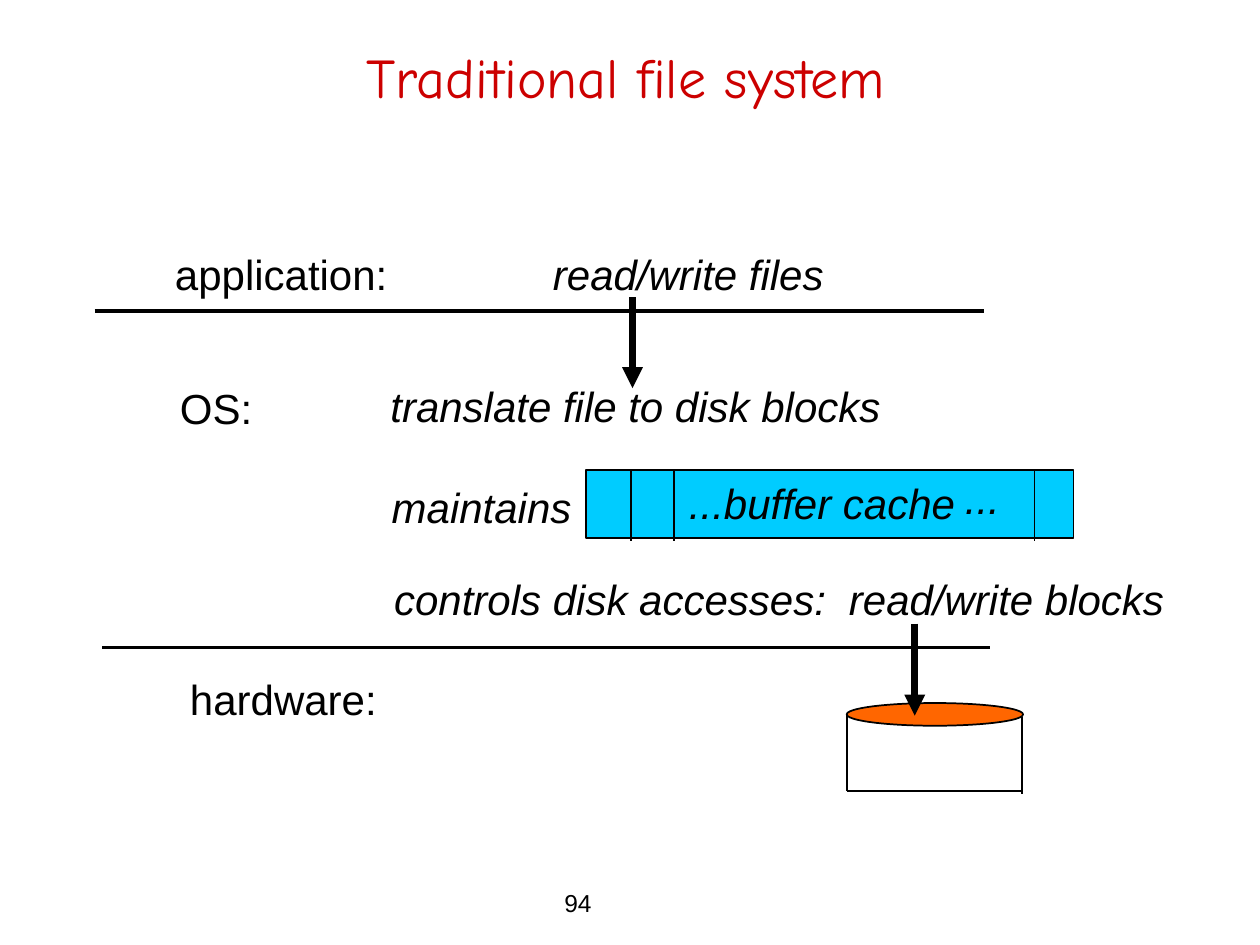
import pptx
import pptx.util
import pptx.dml.color
import pptx.enum.shapes
import pptx.enum.text
import pptx.oxml.ns
import lxml.etree

SCALE = 9144
BLACK = "000000"
SHAPES = pptx.enum.shapes.MSO_SHAPE
ALIGN = pptx.enum.text.PP_ALIGN
ANCHOR = pptx.enum.text.MSO_ANCHOR
FIT = pptx.enum.text.MSO_AUTO_SIZE


def px(n):
    return pptx.util.Emu(n * SCALE)


def paint(code):
    return pptx.dml.color.RGBColor.from_string(code)


def add_tag(parent, name, **keys):
    tag = lxml.etree.SubElement(parent, pptx.oxml.ns.qn(name))
    for key, value in keys.items():
        tag.set(key, str(value))
    return tag


def write(para, text, size=24, font="Arial", color=BLACK, slant=False):
    run = para.add_run()
    run.text = text
    run.font.size = pptx.util.Pt(size)
    run.font.name = font
    run.font.color.rgb = paint(color)
    run.font.italic = slant


class Board:
    def __init__(self, deck):
        self.slide = deck.slides.add_slide(deck.slide_layouts[5])
        self.shapes = self.slide.shapes

    def title(self, text, x, y, w, h):
        box = self.shapes.title
        box.left, box.top, box.width, box.height = map(px, (x, y, w, h))
        frame = box.text_frame
        frame.vertical_anchor = ANCHOR.BOTTOM
        frame.auto_size = FIT.NONE
        para = frame.paragraphs[0]
        para.alignment = ALIGN.CENTER
        write(para, text, size=32, font="Comic Neue", color="CC0000")

    def label(self, text, x, y, w, h=50, tab=None, **style):
        frame = self.shapes.add_textbox(*map(px, (x, y, w, h))).text_frame
        frame.word_wrap = False
        frame.auto_size = FIT.SHAPE_TO_FIT_TEXT
        para = frame.paragraphs[0]
        if tab:
            stops = add_tag(para._p.get_or_add_pPr(), "a:tabLst")
            add_tag(stops, "a:tab", pos=px(tab), algn="l")
        write(para, text, **style)
        return para

    def shape(self, kind, x, y, w, h, fill):
        item = self.shapes.add_shape(kind, *map(px, (x, y, w, h)))
        item.shadow.inherit = False
        item.fill.solid()
        item.fill.fore_color.rgb = paint(fill)
        item.line.color.rgb = paint(BLACK)
        item.line.width = pptx.util.Pt(1)

    def line(self, x1, y1, x2, y2, width=1, arrow=False):
        kind = pptx.enum.shapes.MSO_CONNECTOR.STRAIGHT
        item = self.shapes.add_connector(kind, *map(px, (x1, y1, x2, y2)))
        item.line.color.rgb = paint(BLACK)
        item.line.width = pptx.util.Pt(width)
        if arrow:
            add_tag(item.line._get_or_add_ln(), "a:tailEnd", type="triangle")
        add_tag(item._element.spPr, "a:effectLst")


def main():
    deck = pptx.Presentation()
    deck.slide_width, deck.slide_height = px(1000), px(750)
    board = Board(deck)
    board.title("Traditional file system", 44, 17, 906, 75)
    board.label("94", 438, 700, 109, 34, size=14)

    board.line(75, 247, 781, 247, width=2)
    para = board.label("application:\t", 129, 192, 535, tab=300)
    write(para, "read/write files", slant=True)
    board.line(502, 236, 502, 308, width=4, arrow=True)

    board.label("OS:", 133, 299, 82)
    board.label("translate file to disk blocks", 300, 297, 411, slant=True)
    board.shape(SHAPES.RECTANGLE, 465, 373, 387, 54, "00CCFF")
    for x in (501, 535, 821):
        board.line(x, 374, x, 429)
    board.label("...buffer cache", 537, 374, 233, slant=True)
    board.label("...", 756, 370, 50, slant=True)
    board.label("maintains", 301, 377, 165, slant=True)
    board.label("controls disk accesses:\tread/write blocks",
                303, 450, 633, tab=361, slant=True)

    board.line(81, 514, 786, 514, width=2)
    board.label("hardware:", 141, 530, 170)
    board.shape(SHAPES.OVAL, 672, 558, 140, 18, "FF6600")
    board.line(672, 567, 672, 628)
    board.line(672, 628, 811, 628)
    board.line(811, 569, 811, 630)
    board.line(726, 495, 726, 568, width=4, arrow=True)
    deck.save("out.pptx")


if __name__ == "__main__":
    main()
